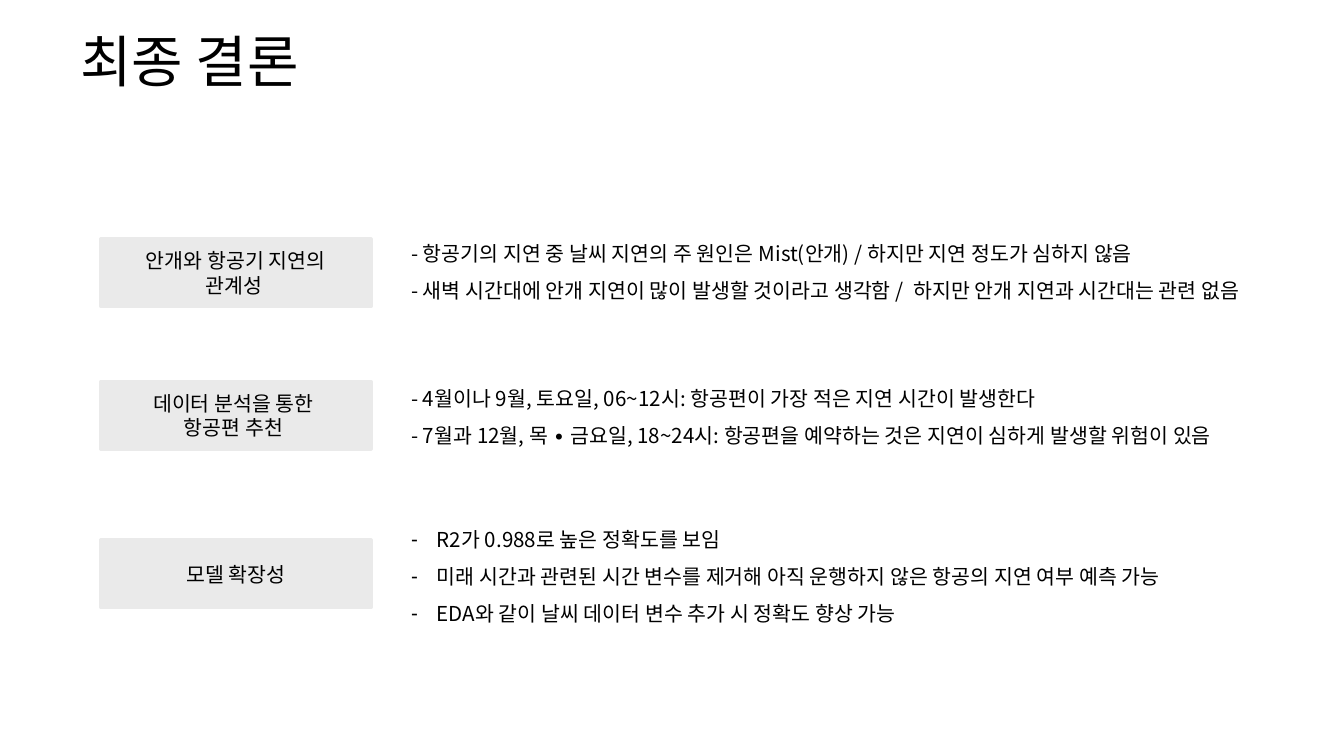
"""Build the conclusion slide: a title and three labelled rows of findings."""
from lxml.etree import SubElement
from pptx import Presentation
from pptx.dml.color import RGBColor
from pptx.enum.shapes import MSO_SHAPE as Shape
from pptx.enum.text import MSO_ANCHOR as Anchor, MSO_AUTO_SIZE as AutoSize, PP_ALIGN as Align
from pptx.oxml.ns import qn
from pptx.util import Inches, Pt

FONT = "Noto Sans CJK KR"
COMPARISON_LAYOUT = 4


def color(value):
    """Return the colour for a hex string."""
    return RGBColor.from_string(value)


def write(box, lines, size, align, anchor, side=0.1, top=0.1, spacing=1.0, bullet=None):
    """Fill a shape with formatted paragraphs."""
    frame = box.text_frame
    frame.text = "\n".join(lines)
    frame.word_wrap = True
    frame.auto_size = AutoSize.NONE
    frame.vertical_anchor = anchor
    frame.margin_left = frame.margin_right = Inches(side)
    frame.margin_top = frame.margin_bottom = Inches(top)
    indent = Inches(0.19) if bullet else 0
    for para in frame.paragraphs:
        para.alignment = align
        para.line_spacing = spacing
        para.space_before = para.space_after = Pt(0)
        properties = para._p.get_or_add_pPr()
        properties.set("marL", str(indent))
        properties.set("indent", str(-indent))
        if bullet:
            SubElement(properties, qn("a:buChar"), char=bullet)
        else:
            SubElement(properties, qn("a:buNone"))
        for span in para.runs:
            span.font.name = FONT
            span.font.size = Pt(size)
            span.font.bold = False
            span.font.color.rgb = color("000000")
            span.font._element.set("kern", "0")
            SubElement(span.font._element, qn("a:ea"), typeface=FONT)


deck = Presentation()
deck.slide_width = Inches(10)
deck.slide_height = deck.slide_width * 9 // 16
page = deck.slides.add_slide(deck.slide_layouts[COMPARISON_LAYOUT])

title = page.shapes.title
title.left, title.top, title.width, title.height = map(Inches, (-0.16, 0.1, 3.05, 0.56))
write(title, [" 최종 결론"], 30, Align.CENTER, Anchor.TOP)

rows = [
    (1.78, ["안개와 항공기 지연의 관계성 "], 1.6, 6.61, None, [
        "- 항공기의 지연 중 날씨 지연의 주 원인은 Mist(안개) / 하지만 지연 정도가 심하지 않음",
        "- 새벽 시간대에 안개 지연이 많이 발생할 것이라고 생각함 /  하지만 안개 지연과 시간대는 관련 없음",
    ]),
    (2.84, ["데이터 분석을 통한 ", "항공편 추천 "], 2.68, 6.39, None, [
        "- 4월이나 9월, 토요일, 06~12시: 항공편이 가장 적은 지연 시간이 발생한다",
        "- 7월과 12월, 목 ∙ 금요일, 18~24시: 항공편을 예약하는 것은 지연이 심하게 발생할 위험이 있음",
    ]),
    (4.02, ["모델 확장성"], 3.73, 6.04, "-", [
        "R2가 0.988로 높은 정확도를 보임",
        "미래 시간과 관련된 시간 변수를 제거해 아직 운행하지 않은 항공의 지연 여부 예측 가능",
        "EDA와 같이 날씨 데이터 변수 추가 시 정확도 향상 가능",
    ]),
]

for index, (label_top, label_lines, top, width, bullet, findings) in enumerate(rows, start=1):
    label = page.shapes.add_shape(
        Shape.RECTANGLE, Inches(0.75), Inches(label_top), Inches(2.01), Inches(0.5))
    label.shadow.inherit = False
    label.fill.solid()
    label.fill.fore_color.rgb = color("EAEAEA")
    label.line.color.rgb = color("EAEAEA")
    label.line.width = Pt(2)
    write(label, label_lines, 11, Align.CENTER, Anchor.MIDDLE, side=0.15, top=0.05)

    body = page.placeholders[index]
    body.left, body.top, body.width, body.height = map(Inches, (2.96, top, width, 0.86))
    write(body, findings, 11, Align.LEFT, Anchor.TOP, spacing=1.5, bullet=bullet)

for placeholder in list(page.placeholders):
    if not placeholder.text_frame.text:
        placeholder.element.getparent().remove(placeholder.element)

deck.save("out.pptx")
